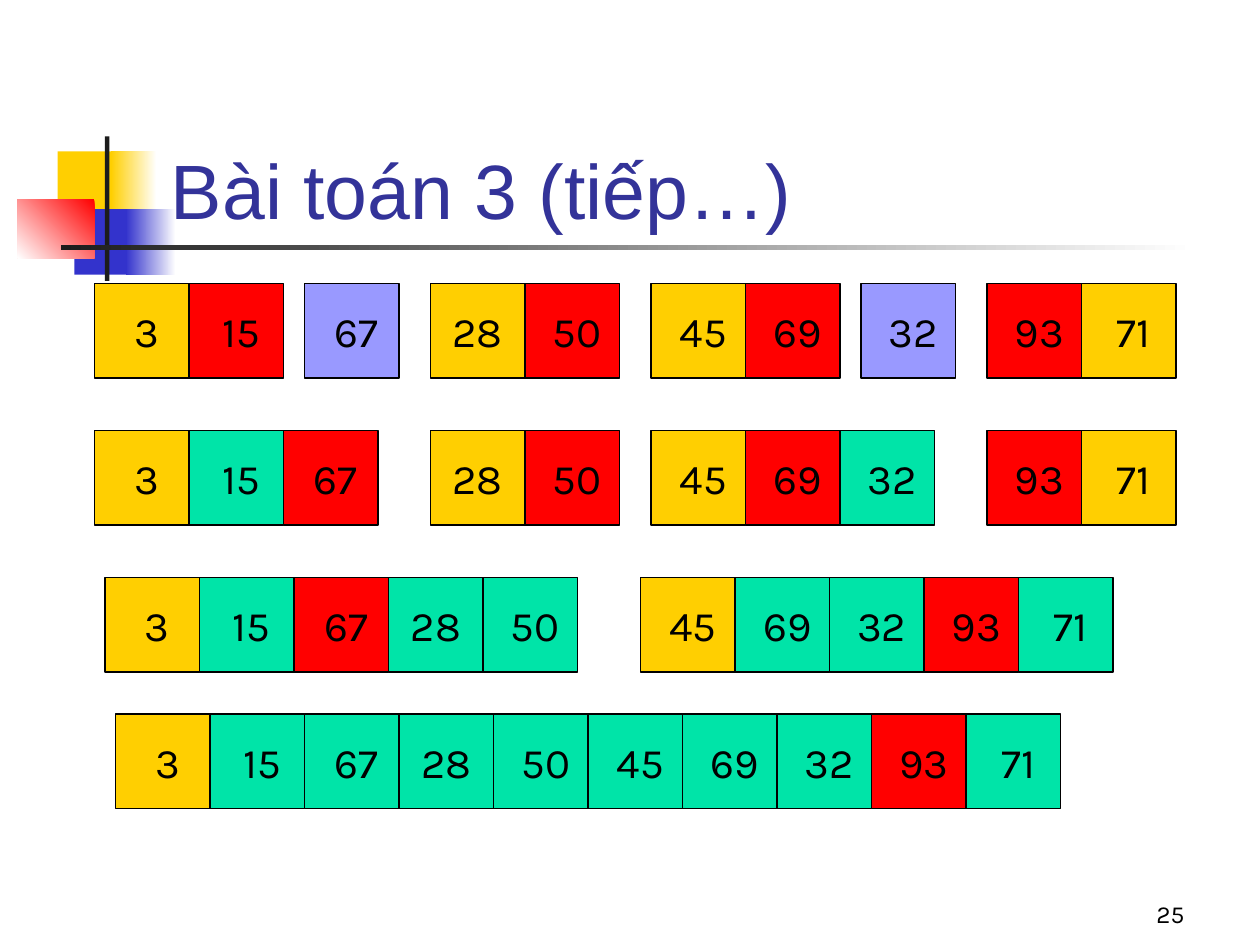
from dataclasses import dataclass

from pptx import Presentation
from pptx.dml.color import RGBColor
from pptx.enum.shapes import MSO_SHAPE
from pptx.enum.text import MSO_ANCHOR, MSO_AUTO_SIZE, PP_ALIGN
from pptx.util import Pt


@dataclass(frozen=True)
class Theme:
    gold: str = "FFCF01"
    red: str = "FF0000"
    green: str = "00E4A8"
    lilac: str = "9999FF"
    blue: str = "3333CC"
    navy: str = "333399"
    dark: str = "1C1C1C"
    white: str = "FFFFFF"
    black: str = "000000"
    head: str = "Arial"
    body: str = "Karla"
    title: int = 44
    cell: int = 24
    page: int = 14


theme = Theme()


def write(frame, text, font=theme.body, size=theme.cell, color=theme.black,
          align=PP_ALIGN.CENTER, anchor=MSO_ANCHOR.MIDDLE, wrap=True):
    frame.auto_size = MSO_AUTO_SIZE.NONE
    frame.word_wrap = wrap
    frame.vertical_anchor = anchor
    line = frame.paragraphs[0]
    line.alignment = align
    run = line.add_run()
    run.text = text
    run.font.name = font
    run.font.size = Pt(size)
    run.font.color.rgb = RGBColor.from_string(color)


deck = Presentation()
deck.slide_width, deck.slide_height = Pt(720), Pt(540)
slide = deck.slides.add_slide(deck.slide_layouts[5])
shapes = slide.shapes

decor = [
    (33, 86.5, 34.5, 37.5, [theme.gold], 0),
    (63.5, 86.5, 26, 37.5, [theme.white, theme.gold], 180),
    (42.5, 119.5, 33, 37.5, [theme.blue], 0),
    (72, 119.5, 28.5, 37.5, [theme.white, theme.blue], 180),
    (10, 114, 44, 33.5, [theme.red, theme.white], 225),
    (60, 78, 2.5, 82.5, [theme.dark], 0),
    (34.8, 140.2, 648, 2.5, [theme.white, theme.dark], 180),
]
for left, top, width, height, colors, angle in decor:
    block = shapes.add_shape(MSO_SHAPE.RECTANGLE, Pt(left), Pt(top), Pt(width), Pt(height))
    block.shadow.inherit = False
    block.line.fill.background()
    if len(colors) == 1:
        block.fill.solid()
        block.fill.fore_color.rgb = RGBColor.from_string(colors[0])
    else:
        block.fill.gradient()
        block.fill.gradient_angle = angle
        for stop, color in zip(block.fill.gradient_stops, colors):
            stop.color.rgb = RGBColor.from_string(color)

title = shapes.title
title.left, title.top, title.width, title.height = Pt(90.5), Pt(48), Pt(613.5), Pt(90)
write(title.text_frame, "Bài toán 3 (tiếp…)", font=theme.head, size=theme.title,
      color=theme.navy, align=PP_ALIGN.LEFT, anchor=MSO_ANCHOR.BOTTOM)
shapes.element.append(title.element)

page = shapes.add_textbox(Pt(534), Pt(498), Pt(150), Pt(36))
write(page.text_frame, "25", size=theme.page, align=PP_ALIGN.RIGHT, anchor=MSO_ANCHOR.BOTTOM)

side = 54
fills = {"Y": theme.gold, "R": theme.red, "G": theme.green, "L": theme.lilac}
values = [" 3", " 15", " 67", " 28 ", " 50", " 45", " 69", " 32", " 93", " 71"]
rows = [
    (162, [(54, "YR"), (174, "L"), (246, "YR"), (372, "YR"), (492, "L"), (564, "RY")]),
    (246, [(54, "YGR"), (246, "YR"), (372, "YRG"), (564, "RY")]),
    (330, [(60, "YGRGG"), (366, "YGGRG")]),
    (408, [(66, "YGGGGGGGRG")]),
]
for top, parts in rows:
    queue = iter(values)
    for left, codes in parts:
        group = shapes.add_group_shape()
        for col, code in enumerate(codes):
            cell = group.shapes.add_shape(MSO_SHAPE.RECTANGLE, Pt(left + col * side), Pt(top),
                                          Pt(side), Pt(side))
            cell.shadow.inherit = False
            cell.fill.solid()
            cell.fill.fore_color.rgb = RGBColor.from_string(fills[code])
            cell.line.color.rgb = RGBColor.from_string(theme.black)
            cell.line.width = Pt(0.75)
            write(cell.text_frame, next(queue), wrap=False)

deck.save("out.pptx")
